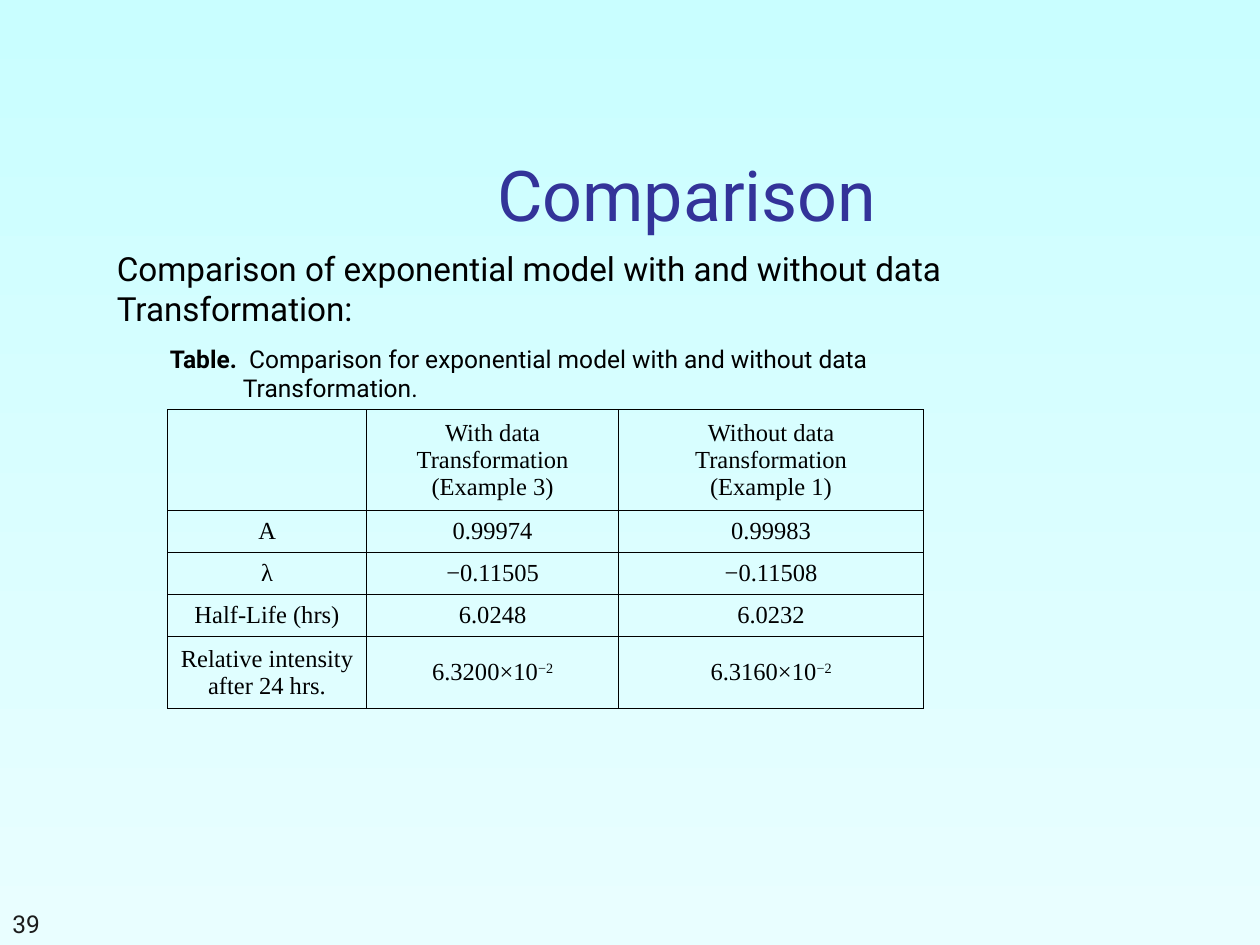
"""Build the slide comparing exponential models with and without data transformation."""
from dataclasses import dataclass

from lxml import etree
from pptx import Presentation
from pptx.dml.color import RGBColor
from pptx.enum.text import MSO_ANCHOR, PP_ALIGN
from pptx.oxml.ns import qn
from pptx.util import Inches, Pt

CENTER, LEFT = PP_ALIGN.CENTER, PP_ALIGN.LEFT
TOP, MIDDLE, BOTTOM = MSO_ANCHOR.TOP, MSO_ANCHOR.MIDDLE, MSO_ANCHOR.BOTTOM


@dataclass(frozen=True)
class Theme:
    sans: str = "Roboto"
    serif: str = "Times New Roman"
    sky_top: str = "C9FEFF"
    sky_bottom: str = "E9FEFF"
    title: str = "333399"
    ink: str = "000000"
    number: str = "1C1C1C"
    title_size: float = 40
    lead_size: float = 19
    small_size: float = 14
    border_width: float = 0.45


theme = Theme()


def style(frame, face, size, color, align=LEFT, anchor=TOP):
    frame.word_wrap = True
    frame.vertical_anchor = anchor
    for paragraph in frame.paragraphs:
        paragraph.alignment = align
        paragraph.font.name = face
        paragraph.font.size = Pt(size)
        paragraph.font.color.rgb = RGBColor.from_string(color)


def add_text(left, top, width, height, text, size, color, anchor=TOP):
    frame = slide.shapes.add_textbox(
        Inches(left), Inches(top), Inches(width), Inches(height)).text_frame
    frame.text = text
    style(frame, theme.sans, size, color, anchor=anchor)
    return frame


prs = Presentation()
prs.slide_width, prs.slide_height = Inches(10), Inches(7.5)
slide = prs.slides.add_slide(prs.slide_layouts[5])

sky = slide.background.fill
sky.gradient()
sky.gradient_angle = 270
for stop, color, position in zip(sky.gradient_stops, (theme.sky_top, theme.sky_bottom), (0, 1)):
    stop.color.rgb = RGBColor.from_string(color)
    stop.position = position

title = slide.shapes.title
title.left, title.top = Inches(1.26), Inches(0.67)
title.width, title.height = Inches(8.52), Inches(1.25)
title.text_frame.text = "Comparison "
style(title.text_frame, theme.sans, theme.title_size, theme.title, CENTER, BOTTOM)

lead = add_text(0.83, 1.92, 8.33, 0.74,
                "Comparison of exponential model with and without data Transformation:",
                theme.lead_size, theme.ink)
lead.paragraphs[0].space_before = Pt(11.9)

column_widths = [1.58, 2, 2.42]
row_heights = [0.8, 0.33, 0.33, 0.33, 0.57]
results = [
    ["", "With data Transformation\n(Example 3)", "Without data Transformation\n(Example 1)"],
    ["A", "0.99974", "0.99983"],
    ["λ", "−0.11505", "−0.11508"],
    ["Half-Life (hrs)", "6.0248", "6.0232"],
    ["Relative intensity after 24 hrs.", "6.3200×10^−2", "6.3160×10^−2"],
]
table = slide.shapes.add_table(
    len(row_heights), len(column_widths), Inches(1.33), Inches(3.25),
    Inches(sum(column_widths)), Inches(sum(row_heights))).table
table.first_row = table.horz_banding = False
for column, width in zip(table.columns, column_widths):
    column.width = Inches(width)
for row, height, values in zip(table.rows, row_heights, results):
    row.height = Inches(height)
    for cell, value in zip(row.cells, values):
        base, _, exponent = value.partition("^")
        cell.text_frame.text = base
        if exponent:
            power = cell.text_frame.paragraphs[0].add_run()
            power.text = exponent
            power.font._element.set("baseline", "30000")
        style(cell.text_frame, theme.serif, theme.small_size, theme.ink, CENTER)
        cell.vertical_anchor = MIDDLE
        cell.fill.background()
        properties = cell._tc.get_or_add_tcPr()
        for index, side in enumerate(("a:lnL", "a:lnR", "a:lnT", "a:lnB")):
            border = etree.Element(qn(side), w=str(Pt(theme.border_width)))
            fill = etree.SubElement(border, qn("a:solidFill"))
            etree.SubElement(fill, qn("a:srgbClr"), val=theme.ink)
            properties.insert(index, border)

caption = add_text(1.25, 2.68, 6.17, 0.57, "Table. \nTransformation.",
                   theme.small_size, theme.ink)
label_line, continuation = caption.paragraphs
label_line.runs[0].font.bold = True
label_line.add_run().text = " Comparison for exponential model with and without data"
continuation._p.get_or_add_pPr().set("marL", str(Inches(0.58)))

add_text(0, 7, 2.08, 0.5, "39", theme.small_size, theme.number, BOTTOM)

prs.save("out.pptx")
